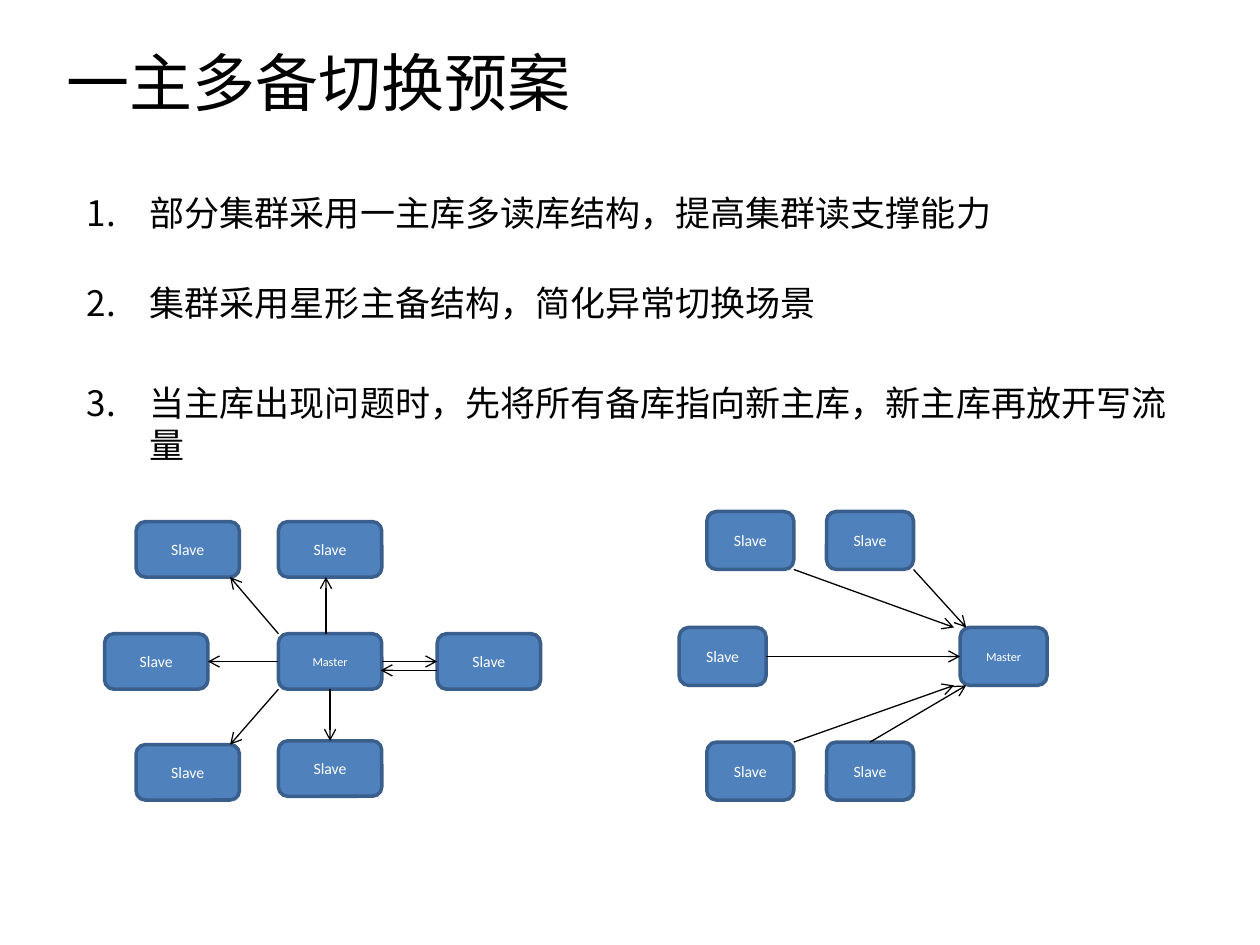
from lxml import etree
from pptx import Presentation
from pptx.dml.color import RGBColor
from pptx.enum.shapes import MSO_CONNECTOR, MSO_SHAPE
from pptx.enum.text import MSO_ANCHOR, PP_ALIGN
from pptx.oxml.ns import qn
from pptx.util import Inches, Pt

LINE, BOX = MSO_CONNECTOR.STRAIGHT, MSO_SHAPE.ROUNDED_RECTANGLE
MID, TOP = MSO_ANCHOR.MIDDLE, MSO_ANCHOR.TOP
LEFT, MITTE = PP_ALIGN.LEFT, PP_ALIGN.CENTER
CJK, LATIN = "Noto Sans CJK SC", "Calibri"

# Content
TITLE = "一主多备切换预案"
POINTS = [  # text, space after in points
    ("部分集群采用一主库多读库结构，提高集群读支撑能力", 27.5),
    ("集群采用星形主备结构，简化异常切换场景", 33),
    ("当主库出现问题时，先将所有备库指向新主库，新主库再放开写流量", 0),
]

# Each diagram: box size, box corners, links.
# A link end is (box, share of its width, share of its height).
STAR = {
    "size": (0.82, 0.44),
    "nodes": {
        "nw": (1.08, 4.14), "n": (2.21, 4.14),
        "w": (0.83, 5.03), "master": (2.21, 5.03), "e": (3.47, 5.03),
        "sw": (1.08, 5.91), "s": (2.21, 5.88),
    },
    "links": [
        (("master", 0.46, 0), ("n", 0.46, 1)),
        (("master", 0, 0), ("nw", 0.91, 1)),
        (("master", 0, 0.5), ("w", 1, 0.5)),
        (("master", 0, 1), ("sw", 0.91, 0)),
        (("master", 0.5, 1), ("s", 0.5, 0)),
        (("master", 1, 0.5), ("e", 0, 0.5)),
        (("e", 0, 0.66), ("master", 0.99, 0.66)),
    ],
}
SWITCH = {
    "size": (0.69, 0.46),
    "nodes": {
        "nw": (5.61, 4.06), "n": (6.56, 4.06),
        "w": (5.39, 4.98), "master": (7.62, 4.98),
        "sw": (5.61, 5.89), "s": (6.56, 5.89),
    },
    "links": [
        (("n", 1, 1), ("master", 0.07, 0)),
        (("nw", 1, 1), ("master", -0.07, 0)),
        (("w", 1, 0.5), ("master", 0, 0.5)),
        (("sw", 1, 0), ("master", -0.07, 1)),
        (("s", 0.5, 0), ("master", 0.07, 1)),
    ],
}


def color(code):
    return RGBColor.from_string(code)


def write(par, text, size, face, code, **form):
    for key, val in form.items():
        setattr(par, key, val)
    run = par.add_run()
    run.text = text
    for key, val in {"size": Pt(size), "name": face, "bold": False}.items():
        setattr(run.font, key, val)
    run.font.color.rgb = color(code)
    etree.SubElement(run.font._element, qn("a:ea"), typeface=face)


def frame(shape, **form):
    for key, val in form.items():
        setattr(shape.text_frame, key, val)
    return shape.text_frame


def place(shape, *spot):
    for key, val in zip(("left", "top", "width", "height"), spot):
        setattr(shape, key, Inches(val))


def number(par):
    props = par._p.get_or_add_pPr()
    props.set("marL", str(Inches(0.5)))
    props.set("indent", str(-Inches(0.5)))
    etree.SubElement(props, qn("a:buFont"), typeface=CJK)
    etree.SubElement(props, qn("a:buAutoNum"), type="arabicPeriod")


def node(group, name, spot, size):
    shape = group.shapes.add_shape(BOX, *map(Inches, spot + size))
    shape.shadow.inherit = False
    shape.fill.solid()
    shape.fill.fore_color.rgb = color("4F81BD")
    shape.line.color.rgb = color("3A5F8C")
    shape.line.width = Pt(2)
    text, points = ("Master", 7) if name == "master" else ("Slave", 9)
    body = frame(shape, vertical_anchor=MID, word_wrap=True)
    write(body.paragraphs[0], text, points, LATIN, "FFFFFF", alignment=MITTE)


def arrow(group, start, end):
    link = group.shapes.add_connector(LINE, *map(Inches, start + end))
    link.line.color.rgb = color("000000")
    link.line.width = Pt(0.75)
    etree.SubElement(link.line._get_or_add_ln(), qn("a:tailEnd"), type="arrow")
    etree.SubElement(link._element.spPr, qn("a:effectLst"))


def draw(slide, plan):
    group = slide.shapes.add_group_shape()
    size, nodes = plan["size"], plan["nodes"]

    def point(name, *share):
        return tuple(p + s * f for p, s, f in zip(nodes[name], size, share))

    for name, spot in nodes.items():
        node(group, name, spot, size)
    for start, end in plan["links"]:
        arrow(group, point(*start), point(*end))


def main():
    deck = Presentation()
    deck.slide_width, deck.slide_height = Inches(10), Inches(7.5)
    slide = deck.slides.add_slide(deck.slide_layouts[5])

    # Title
    title = slide.shapes.title
    place(title, 0.43, 0.29, 8.42, 0.71)
    body = frame(title, vertical_anchor=MID, word_wrap=True)
    write(body.paragraphs[0], TITLE, 36, CJK, "000000", alignment=LEFT)

    # Numbered points
    area = slide.shapes.add_textbox(*map(Inches, (0.59, 1.47, 9, 4.96)))
    body = frame(area, vertical_anchor=TOP, word_wrap=True)
    for i, (text, gap) in enumerate(POINTS):
        par = body.add_paragraph() if i else body.paragraphs[0]
        write(par, text, 20, CJK, "000000", alignment=LEFT,
              line_spacing=Pt(24), space_after=Pt(gap))
        number(par)

    # Diagrams
    for plan in (STAR, SWITCH):
        draw(slide, plan)
    deck.save("out.pptx")


if __name__ == "__main__":
    main()
